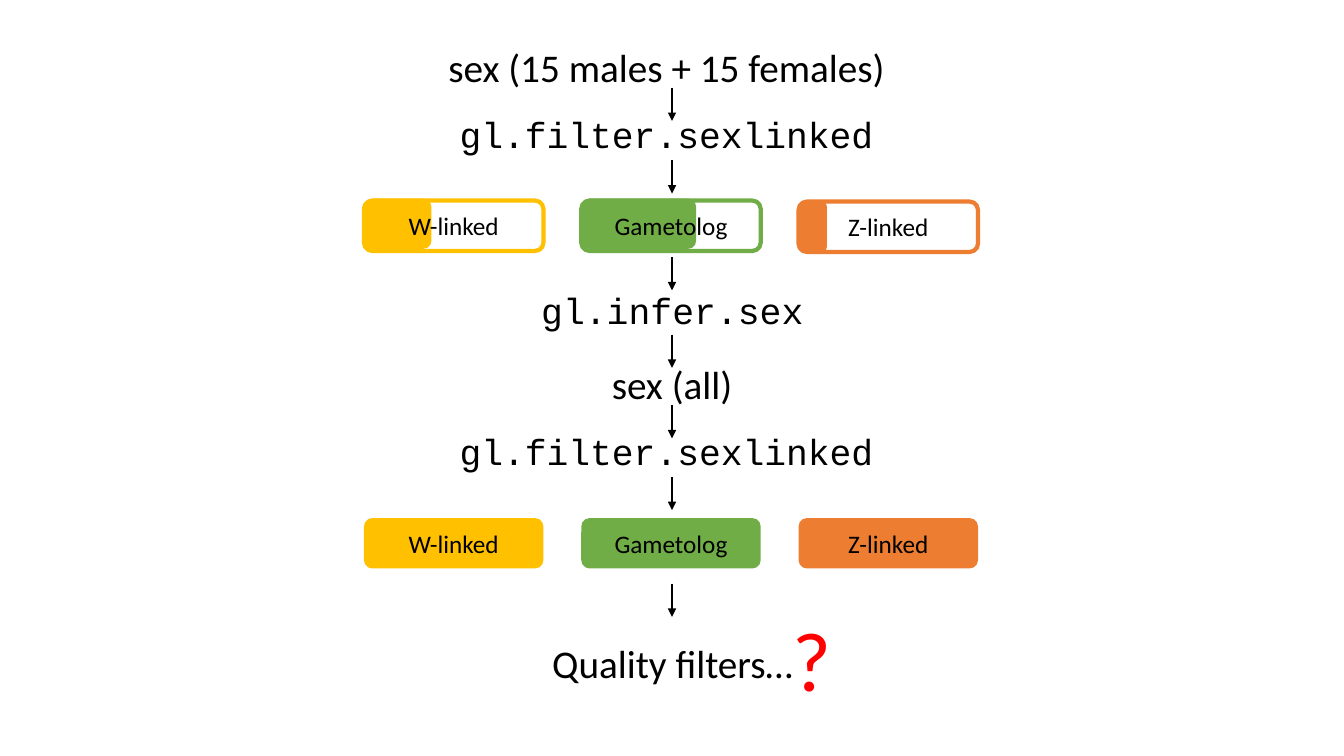
import pptx
import pptx.util
import pptx.dml.color
import pptx.enum.shapes
import pptx.enum.text
from lxml import etree

Inches, Pt = pptx.util.Inches, pptx.util.Pt
RGB = pptx.dml.color.RGBColor
ALIGN = pptx.enum.text.PP_ALIGN
ROUNDED = pptx.enum.shapes.MSO_SHAPE.ROUNDED_RECTANGLE

BLACK = RGB(0x00, 0x00, 0x00)
RED = RGB(0xFF, 0x00, 0x00)
YELLOW = RGB(0xFF, 0xC0, 0x00)
GREEN = RGB(0x70, 0xAD, 0x47)
ORANGE = RGB(0xED, 0x7D, 0x31)

deck = pptx.Presentation()
deck.slide_width, deck.slide_height = Inches(13.33), Inches(7.5)
slide = deck.slides.add_slide(deck.slide_layouts[6])
shapes = slide.shapes


def write(holder, text, size, font="Calibri", color=BLACK, align=ALIGN.CENTER):
    paragraph = holder.text_frame.paragraphs[0]
    paragraph.alignment = align
    run = paragraph.add_run()
    run.text = text
    run.font.name, run.font.size, run.font.color.rgb = font, Pt(size), color
    return paragraph


def add_bar(left, top, width, fill=None, line=None):
    bar = shapes.add_shape(ROUNDED, Inches(left), Inches(top), Inches(width), Inches(BAR_HEIGHT))
    bar.shadow.inherit = False
    bar.text_frame.vertical_anchor = pptx.enum.text.MSO_ANCHOR.MIDDLE
    if fill is None:
        bar.fill.background()
    else:
        bar.fill.solid()
        bar.fill.fore_color.rgb = fill
    if line is None:
        bar.line.fill.background()
    else:
        bar.line.color.rgb = line
        bar.line.width = Pt(3)
    return bar


# Data steps and the closing question: text, left, top, width, height, size, colour
for text, left, top, width, height, size, color in [
    ("sex (15 males + 15 females)", 4.13, 0.38, 4.96, 0.57, 28, BLACK),
    ("sex (all)", 5.94, 3.53, 1.45, 0.57, 28, BLACK),
    ("Quality filters…", 5.36, 6.29, 2.62, 0.57, 28, BLACK),
    ("?", 7.33, 5.98, 1.45, 1.11, 60, RED),
]:
    step = shapes.add_textbox(Inches(left), Inches(top), Inches(width), Inches(height))
    step.text_frame.word_wrap = True
    write(step, text, size, color=color)

# Function calls: text, left, top, width, size, line spacing, alignment
for text, left, top, width, size, spacing, align in [
    ("gl.filter.sexlinked", 4.46, 1.15, 4.41, 25.9, 0.8, ALIGN.LEFT),
    ("gl.infer.sex", 5.18, 2.86, 2.98, 26, 0.9, ALIGN.CENTER),
    ("gl.filter.sexlinked", 4.46, 4.29, 4.41, 25.9, 0.8, ALIGN.LEFT),
]:
    call = shapes.add_textbox(Inches(left), Inches(top), Inches(width), Inches(0.5))
    call.text_frame.word_wrap = True
    write(call, text, size, "Courier New", align=align).line_spacing = spacing

# Locus classes: partly found in the first pass, complete in the second
BAR_WIDTH, BAR_HEIGHT = 1.78, 0.5
FIRST_LEFT, COLUMN_STEP = 3.61, 2.155
for column, (label, color, found, found_top, outline_top) in enumerate([
    ("W-linked", YELLOW, 0.67, 1.97, 1.99),
    ("Gametolog", GREEN, 1.14, 1.97, 1.99),
    ("Z-linked", ORANGE, 0.28, 2.0, 2.0),
]):
    left = FIRST_LEFT + column * COLUMN_STEP
    add_bar(left, found_top, found, fill=color)
    write(add_bar(left, outline_top, BAR_WIDTH, line=color), label, 18)
    write(add_bar(left, 5.14, BAR_WIDTH, fill=color), label, 18)

# Arrows between the steps
ARROW_X, ARROW_LENGTH = 6.665, 0.33
for top in (0.87, 1.59, 2.55, 3.32, 4.02, 4.73, 5.79):
    arrow = shapes.add_connector(
        pptx.enum.shapes.MSO_CONNECTOR.STRAIGHT,
        Inches(ARROW_X), Inches(top), Inches(ARROW_X), Inches(top + ARROW_LENGTH))
    arrow.line.color.rgb = BLACK
    arrow.line.width = Pt(2)
    outline = arrow.line._get_or_add_ln()
    etree.SubElement(outline, pptx.oxml.ns.qn("a:tailEnd"), type="triangle")
    etree.SubElement(outline.getparent(), pptx.oxml.ns.qn("a:effectLst"))

deck.save("out.pptx")
